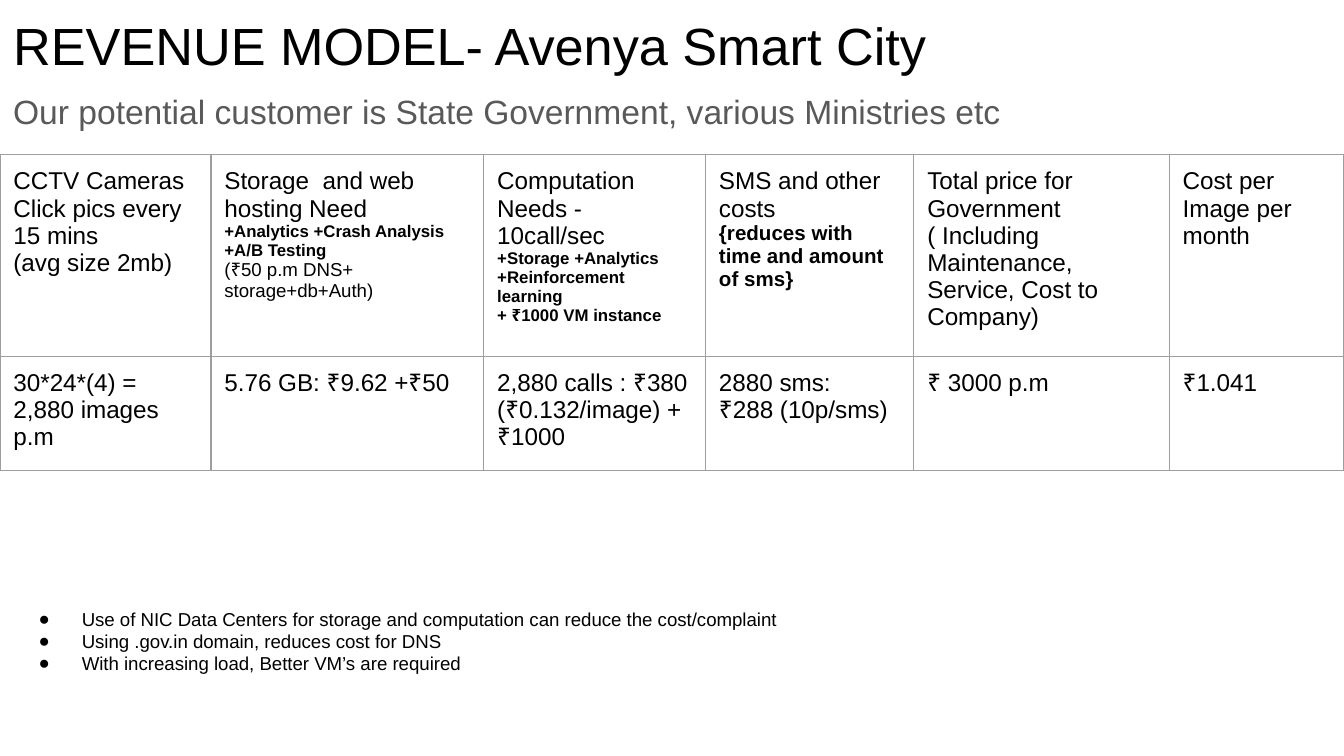
"""Build the revenue model slide with its cost table and notes."""
from lxml.etree import SubElement
from pptx import Presentation
from pptx.dml.color import RGBColor
from pptx.oxml.ns import qn
from pptx.util import Inches, Pt

BLACK = RGBColor(0x00, 0x00, 0x00)
GRAY = RGBColor(0x59, 0x59, 0x59)
BORDER = RGBColor(0x9E, 0x9E, 0x9E)
FONT = "Arial"
INSET = Inches(0.1)

TITLE = "REVENUE MODEL- Avenya Smart City"
SUBTITLE = "Our potential customer is State Government, various Ministries etc"
NOTES = [
    "Use of NIC Data Centers for storage and computation can reduce the cost/complaint",
    "Using .gov.in domain, reduces cost for DNS",
    "With increasing load, Better VM’s are required",
]

BODY = {"size": 13}
SMALL = {"size": 10}
EXTRA = {"size": 9, "bold": True}
REMARK = {"size": 11, "bold": True}

COLUMN_WIDTHS = [1.57, 2.03, 1.65, 1.55, 1.9, 1.3]
ROW_HEIGHTS = [1.5, 0.77]
ROWS = [
    [
        [("CCTV Cameras", BODY), ("Click pics every 15 mins", BODY), ("(avg size 2mb)", BODY)],
        [("Storage  and web hosting Need", BODY),
         ("+Analytics +Crash Analysis +A/B Testing", EXTRA),
         ("(₹50 p.m DNS+ storage+db+Auth)", SMALL)],
        [("Computation Needs - 10call/sec", BODY),
         ("+Storage +Analytics +Reinforcement learning", EXTRA),
         ("+ ₹1000 VM instance", EXTRA)],
        [("SMS and other costs", BODY), ("{reduces with time and amount of sms}", REMARK)],
        [("Total price for Government", BODY),
         ("( Including Maintenance, Service, Cost to Company)", BODY)],
        [("Cost per Image per month", BODY)],
    ],
    [
        [("30*24*(4) = 2,880 images p.m", BODY)],
        [("5.76 GB: ₹9.62 +₹50", BODY)],
        [("2,880 calls : ₹380", BODY), ("(₹0.132/image) +₹1000", BODY)],
        [("2880 sms:", BODY), ("₹288 (10p/sms)", BODY)],
        [("₹ 3000 p.m", BODY)],
        [("₹1.041", BODY)],
    ],
]


def add_bullet(para):
    props = para._p.get_or_add_pPr()
    props.set("marL", str(Inches(0.5)))
    props.set("indent", str(Inches(-0.32)))
    color = SubElement(props, qn("a:buClr"))
    SubElement(color, qn("a:srgbClr"), val=str(BLACK))
    SubElement(props, qn("a:buFont"), typeface=FONT)
    SubElement(props, qn("a:buChar"), char="●")


def write(frame, text, size=13, bold=False, color=BLACK, spacing=None, after=None, bullet=False):
    para = frame.paragraphs[0] if not frame.text else frame.add_paragraph()
    if spacing:
        para.line_spacing = spacing
    if after:
        para.space_after = Pt(after)
    if bullet:
        add_bullet(para)
    span = para.add_run()
    span.text = text
    span.font.name = FONT
    span.font.size = Pt(size)
    span.font.bold = bold
    span.font.color.rgb = color
    SubElement(para._p, qn("a:endParaRPr"), sz=str(size * 100))


def set_insets(target):
    target.margin_left = target.margin_right = INSET
    target.margin_top = target.margin_bottom = INSET


def add_box(page, left, top, width, height):
    box = page.shapes.add_textbox(Inches(left), Inches(top), Inches(width), Inches(height))
    frame = box.text_frame
    frame.word_wrap = True
    set_insets(frame)
    return frame


def add_borders(cell):
    props = cell._tc.get_or_add_tcPr()
    for side in ("lnL", "lnR", "lnT", "lnB"):
        line = SubElement(props, qn(f"a:{side}"), w=str(Pt(0.75)))
        fill = SubElement(line, qn("a:solidFill"))
        SubElement(fill, qn("a:srgbClr"), val=str(BORDER))


def add_cost_table(page):
    table = page.shapes.add_table(
        len(ROWS), len(COLUMN_WIDTHS), Inches(0), Inches(1.15),
        Inches(sum(COLUMN_WIDTHS)), Inches(sum(ROW_HEIGHTS))).table
    table.first_row = table.horz_banding = False
    for column, width in zip(table.columns, COLUMN_WIDTHS):
        column.width = Inches(width)
    for row, height, contents in zip(table.rows, ROW_HEIGHTS, ROWS):
        row.height = Inches(height)
        for cell, lines in zip(row.cells, contents):
            set_insets(cell)
            add_borders(cell)
            cell.fill.background()
            for text, style in lines:
                write(cell.text_frame, text, **style)


def main():
    deck = Presentation()
    deck.slide_width = Inches(10)
    deck.slide_height = deck.slide_width * 9 // 16
    page = deck.slides.add_slide(deck.slide_layouts[6])
    write(add_box(page, 0, 0, 9.32, 0.53), TITLE, size=28)
    write(add_box(page, 0, 0.53, 10, 3.74), SUBTITLE, size=18, color=GRAY, spacing=1.15, after=16)
    add_cost_table(page)
    notes = add_box(page, 0.01, 4.42, 9.98, 0.63)
    for note in NOTES:
        write(notes, note, size=10, bullet=True)
    deck.save("out.pptx")


if __name__ == "__main__":
    main()
